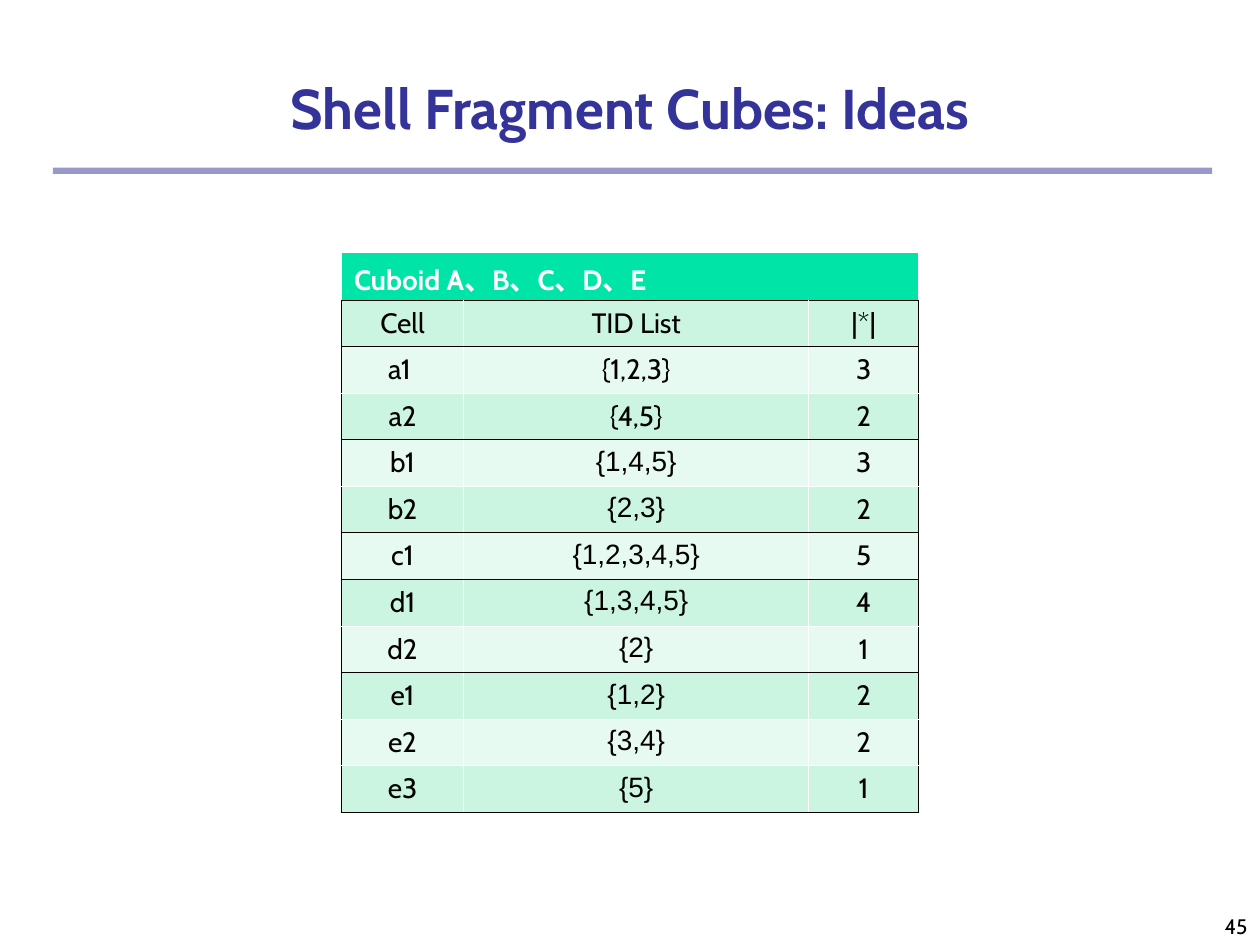
from lxml.etree import SubElement
from pptx import Presentation
from pptx.dml.color import RGBColor
from pptx.enum.shapes import MSO_SHAPE
from pptx.enum.text import MSO_ANCHOR, PP_ALIGN
from pptx.oxml.ns import qn
from pptx.util import Inches, Pt

COLORS = {
    "navy": "333399",
    "green": "00E4A8",
    "mint": "CBF5E1",
    "pale": "E7FAF1",
    "white": "FFFFFF",
    "black": "000000",
}
HEADER = "Cuboid A、B、C、D、E"
GROUPS = [
    [("Cell", "TID List", "|*|")],
    [("a1 ", "{1,2,3}", "3"), ("a2", "{4,5}", "2")],
    [("b1", "{1,4,5}", "3"), ("b2", "{2,3}", "2")],
    [("c1", "{1,2,3,4,5}", "5")],
    [("d1", "{1,3,4,5}", "4"), ("d2", "{2}", "1")],
    [("e1", "{1,2}", "2"), ("e2", "{3,4}", "2"), ("e3", "{5}", "1")],
]
COLUMN_WIDTHS = (0.97, 2.74, 0.87)
ARIAL_GROUPS_FROM = 2


def rgb(name):
    return RGBColor.from_string(COLORS[name])


def write(tf, text, size, color, align, bold=False, font="Cabin"):
    p = tf.paragraphs[0]
    p.alignment = align
    r = p.add_run()
    r.text = text
    r.font.name = font
    r.font.size = Pt(size)
    r.font.bold = bold
    r.font.color.rgb = rgb(color)


def add_title(s, text):
    sp = s.shapes.title
    sp.left, sp.top, sp.width, sp.height = Inches(0), Inches(0.42), Inches(10), Inches(0.75)
    sp.text_frame.vertical_anchor = MSO_ANCHOR.BOTTOM
    write(sp.text_frame, text, 32, "navy", PP_ALIGN.CENTER, bold=True)


def add_rule(s):
    sp = s.shapes.add_shape(
        MSO_SHAPE.RECTANGLE, Inches(0.42), Inches(1.33), Inches(9.2), Inches(0.05)
    )
    sp.shadow.inherit = False
    sp.fill.solid()
    sp.fill.fore_color.rgb = rgb("navy")
    sp.line.fill.background()
    color = sp.fill._xPr.find(".//" + qn("a:srgbClr"))
    SubElement(color, qn("a:alpha"), val="50000")


def add_page_number(s, text):
    sp = s.shapes.add_textbox(Inches(7.92), Inches(7), Inches(2.08), Inches(0.5))
    tf = sp.text_frame
    tf.word_wrap = True
    tf.vertical_anchor = MSO_ANCHOR.BOTTOM
    write(tf, text, 12, "black", PP_ALIGN.RIGHT)


def style_cell(cell, fill, left, right, top, bottom):
    tcPr = cell._tc.get_or_add_tcPr()
    for side, color in zip("LRTB", (left, right, top, bottom)):
        ln = SubElement(tcPr, qn(f"a:ln{side}"), w=str(Pt(0.45)))
        solid = SubElement(ln, qn("a:solidFill"))
        SubElement(solid, qn("a:srgbClr"), val=COLORS[color])
    cell.fill.solid()
    cell.fill.fore_color.rgb = rgb(fill)


def add_group(table, first_row, group, font):
    last_column = len(COLUMN_WIDTHS) - 1
    for i, values in enumerate(group):
        row = first_row + i
        top = "black" if i == 0 else "white"
        bottom = "black" if i == len(group) - 1 else "white"
        for column, text in enumerate(values):
            cell = table.cell(row, column)
            left = "black" if column == 0 else "white"
            right = "black" if column == last_column else "white"
            style_cell(cell, "mint" if row % 2 else "pale", left, right, top, bottom)
            write(cell.text_frame, text, 16, "black", PP_ALIGN.CENTER,
                  font=font if column == 1 else "Cabin")


def add_cuboid_table(s):
    row_count = 1 + sum(len(group) for group in GROUPS)
    table = s.shapes.add_table(
        row_count, len(COLUMN_WIDTHS), Inches(2.71), Inches(2), Inches(4.58), Inches(4.45)
    ).table
    for column, width in zip(table.columns, COLUMN_WIDTHS):
        column.width = Inches(width)
    for i, row in enumerate(table.rows):
        row.height = Inches(0.37 if i else 0.38)

    for column in range(len(COLUMN_WIDTHS)):
        style_cell(table.cell(0, column), "green", "white", "white", "white", "black")
    header = table.cell(0, 0)
    header.merge(table.cell(0, len(COLUMN_WIDTHS) - 1))
    write(header.text_frame, HEADER, 16, "white", PP_ALIGN.LEFT, bold=True)

    row = 1
    for i, group in enumerate(GROUPS):
        add_group(table, row, group, "Arial" if i >= ARIAL_GROUPS_FROM else "Cabin")
        row += len(group)


def main():
    prs = Presentation()
    prs.slide_width, prs.slide_height = Inches(10), Inches(7.5)
    s = prs.slides.add_slide(prs.slide_layouts[5])
    add_rule(s)
    add_page_number(s, "45")
    add_title(s, "Shell Fragment Cubes: Ideas")
    add_cuboid_table(s)
    prs.save("out.pptx")


if __name__ == "__main__":
    main()
